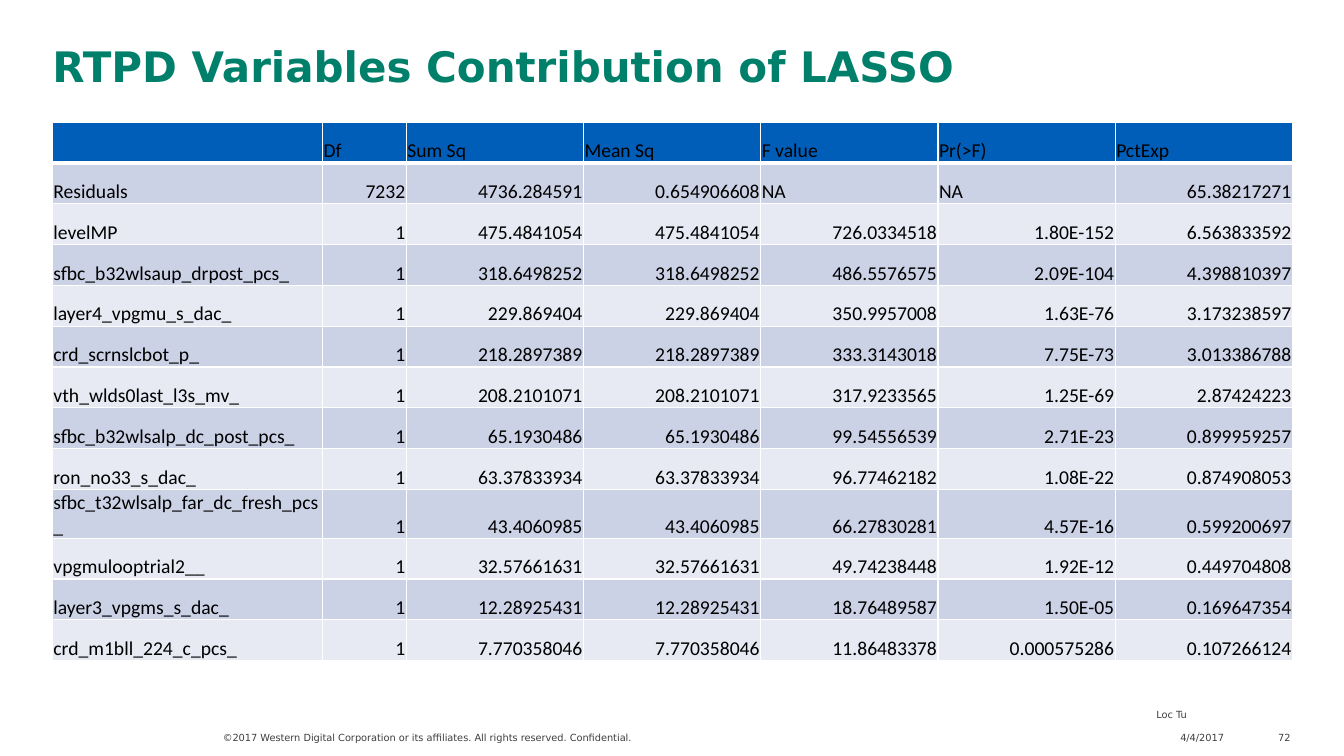
"""Build the slide on LASSO variable contributions."""
import pptx
import pptx.dml.color
import pptx.enum.text
import pptx.oxml
import pptx.oxml.ns
import pptx.util

Inches = pptx.util.Inches
Pt = pptx.util.Pt
RGBColor = pptx.dml.color.RGBColor
ALIGN = pptx.enum.text.PP_ALIGN
ANCHOR = pptx.enum.text.MSO_ANCHOR

GREEN = RGBColor(0x00, 0x80, 0x6B)
GREY = RGBColor(0x3F, 0x3F, 0x3F)
BLACK = RGBColor(0x00, 0x00, 0x00)
WHITE = RGBColor(0xFF, 0xFF, 0xFF)
HEADER_BLUE = RGBColor(0x00, 0x5E, 0xB8)
BANDS = (RGBColor(0xE7, 0xEA, 0xF3), RGBColor(0xCC, 0xD2, 0xE6))

ROWS = [
    ("", "Df", "Sum Sq", "Mean Sq", "F value", "Pr(>F)", "PctExp"),
    ("Residuals", "7232", "4736.284591", "0.654906608", "NA", "NA", "65.38217271"),
    ("levelMP", "1", "475.4841054", "475.4841054", "726.0334518", "1.80E-152", "6.563833592"),
    ("sfbc_b32wlsaup_drpost_pcs_", "1", "318.6498252", "318.6498252", "486.5576575", "2.09E-104", "4.398810397"),
    ("layer4_vpgmu_s_dac_", "1", "229.869404", "229.869404", "350.9957008", "1.63E-76", "3.173238597"),
    ("crd_scrnslcbot_p_", "1", "218.2897389", "218.2897389", "333.3143018", "7.75E-73", "3.013386788"),
    ("vth_wlds0last_l3s_mv_", "1", "208.2101071", "208.2101071", "317.9233565", "1.25E-69", "2.87424223"),
    ("sfbc_b32wlsalp_dc_post_pcs_", "1", "65.1930486", "65.1930486", "99.54556539", "2.71E-23", "0.899959257"),
    ("ron_no33_s_dac_", "1", "63.37833934", "63.37833934", "96.77462182", "1.08E-22", "0.874908053"),
    ("sfbc_t32wlsalp_far_dc_fresh_pcs_", "1", "43.4060985", "43.4060985", "66.27830281", "4.57E-16", "0.599200697"),
    ("vpgmulooptrial2__", "1", "32.57661631", "32.57661631", "49.74238448", "1.92E-12", "0.449704808"),
    ("layer3_vpgms_s_dac_", "1", "12.28925431", "12.28925431", "18.76489587", "1.50E-05", "0.169647354"),
    ("crd_m1bll_224_c_pcs_", "1", "7.770358046", "7.770358046", "11.86483378", "0.000575286", "0.107266124"),
]
LEFT, WIDTH = 0.52, 12.3
TABLE_TOP, TABLE_HEIGHT = 1.21, 5.27
NAME_WIDTH, DF_WIDTH = 2.68, 0.83

TITLE_FONT = {"name": "DejaVu Sans", "size": Pt(30), "bold": True}
FOOTER_FONT = {"name": "DejaVu Sans", "size": Pt(7), "bold": False}
CELL_FONT = {"name": "Calibri", "size": Pt(14), "bold": False}
CELL_FORMAT = {
    "vertical_anchor": ANCHOR.BOTTOM, "margin_left": Inches(0.01),
    "margin_right": Inches(0.01), "margin_top": Inches(0.01), "margin_bottom": 0,
}
BOX_FORMAT = {"word_wrap": True, "margin_left": 0, "margin_right": 0,
              "margin_top": 0, "margin_bottom": 0}

TEXTS = [
    ((LEFT, 0.4, WIDTH, 0.68), ANCHOR.TOP, TITLE_FONT, GREEN,
     [("RTPD Variables Contribution of LASSO", ALIGN.LEFT)]),
    ((11.47, 7.18, 0.67, 0.2), ANCHOR.BOTTOM, FOOTER_FONT, GREY,
     [("Loc Tu", ALIGN.LEFT), ("4/4/2017", ALIGN.RIGHT)]),
    ((12.53, 7.18, 0.27, 0.2), ANCHOR.BOTTOM, FOOTER_FONT, GREY,
     [("72", ALIGN.RIGHT)]),
    ((2.21, 7.18, 4.39, 0.2), ANCHOR.BOTTOM, FOOTER_FONT, GREY,
     [("©2017 Western Digital Corporation or its affiliates. "
       "All rights reserved. Confidential.", ALIGN.LEFT)]),
]


def apply_format(target, values):
    for name, value in values.items():
        setattr(target, name, value)


def write(para, text, align, font, color):
    para.alignment = align
    if text:
        span = para.add_run()
        span.text = text
        apply_format(span.font, font)
        span.font.color.rgb = color


def add_text(page, place, anchor, font, color, lines):
    box = page.shapes.add_textbox(*map(Inches, place))
    frame = box.text_frame
    apply_format(frame, BOX_FORMAT)
    frame.vertical_anchor = anchor
    for index, (text, align) in enumerate(lines):
        para = frame.add_paragraph() if index else frame.paragraphs[0]
        if index:
            para.space_before = Pt(8)
        write(para, text, align, font, color)


def add_borders(cell, row):
    weights = {"L": 1, "R": 1, "T": 3 if row == 1 else 1, "B": 3 if row == 0 else 1}
    properties = cell._tc.get_or_add_tcPr()
    for index, (side, weight) in enumerate(weights.items()):
        properties.insert(index, pptx.oxml.parse_xml(
            f'<a:ln{side} {pptx.oxml.ns.nsdecls("a")} w="{Pt(weight)}">'
            f'<a:solidFill><a:srgbClr val="{WHITE}"/></a:solidFill></a:ln{side}>'))


def add_results(page):
    place = map(Inches, (LEFT, TABLE_TOP, WIDTH, TABLE_HEIGHT))
    table = page.shapes.add_table(len(ROWS), len(ROWS[0]), *place).table
    value_count = len(ROWS[0]) - 2
    value_width = (WIDTH - NAME_WIDTH - DF_WIDTH) / value_count
    for column, width in zip(table.columns, [NAME_WIDTH, DF_WIDTH] + [value_width] * value_count):
        column.width = Inches(width)
    for row, values in enumerate(ROWS):
        for column, text in enumerate(values):
            cell = table.cell(row, column)
            apply_format(cell, CELL_FORMAT)
            cell.fill.solid()
            cell.fill.fore_color.rgb = BANDS[row % 2] if row else HEADER_BLUE
            add_borders(cell, row)
            is_label = row == 0 or column == 0 or text == "NA"
            align = ALIGN.LEFT if is_label else ALIGN.RIGHT
            write(cell.text_frame.paragraphs[0], text, align, CELL_FONT, BLACK)


def main():
    deck = pptx.Presentation()
    deck.slide_width, deck.slide_height = Inches(13.33), Inches(7.5)
    page = deck.slides.add_slide(deck.slide_layouts[6])
    add_results(page)
    for text in TEXTS:
        add_text(page, *text)
    deck.save("out.pptx")


if __name__ == "__main__":
    main()
